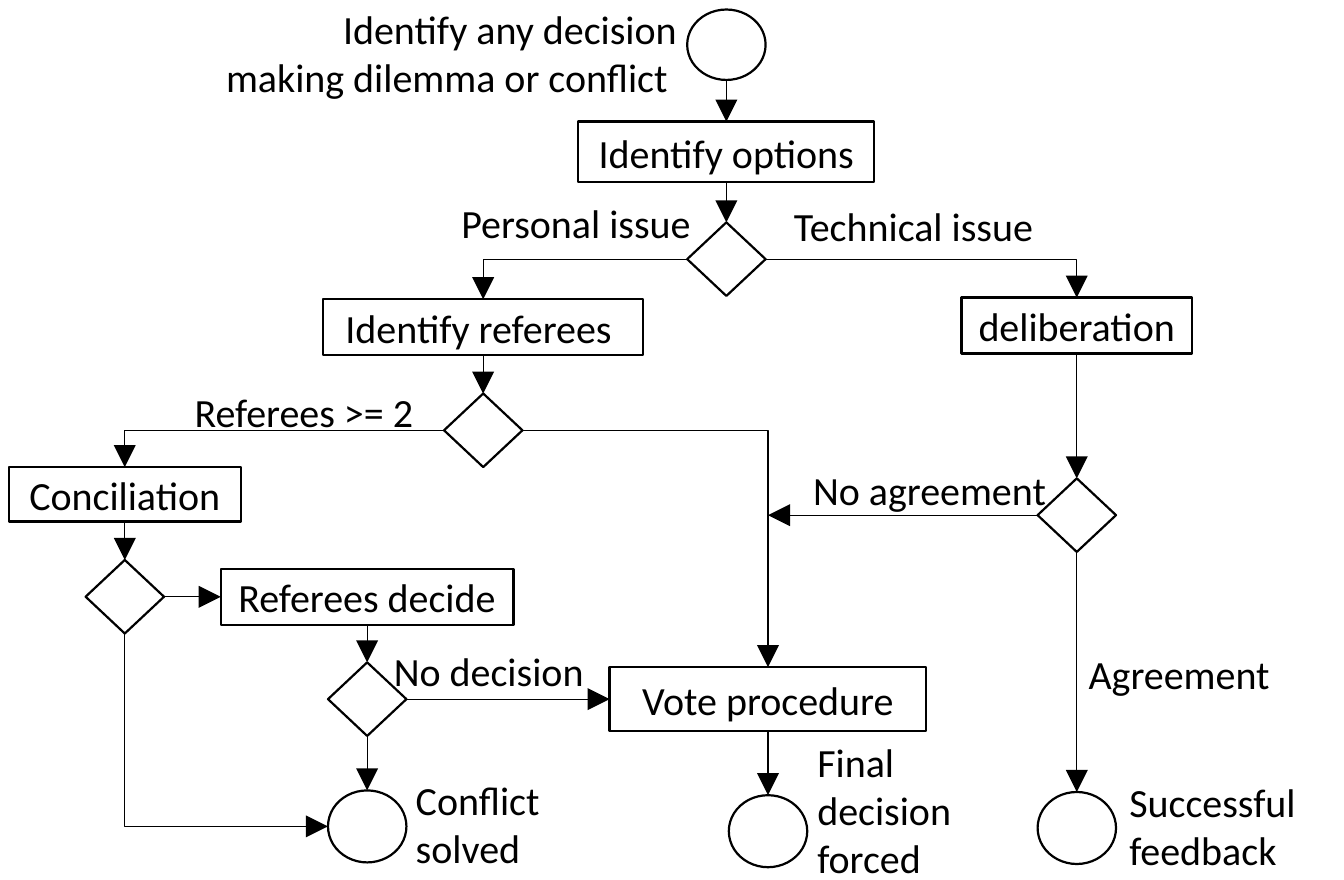
from lxml import etree
from pptx import Presentation
from pptx.dml.color import RGBColor
from pptx.enum.shapes import MSO_CONNECTOR, MSO_SHAPE
from pptx.enum.text import MSO_ANCHOR, MSO_AUTO_SIZE, PP_ALIGN
from pptx.oxml.ns import qn
from pptx.util import Inches, Pt

BLACK = RGBColor(0x00, 0x00, 0x00)
RECT, DIAMOND, OVAL = MSO_SHAPE.RECTANGLE, MSO_SHAPE.DIAMOND, MSO_SHAPE.OVAL
LINE, BEND = MSO_CONNECTOR.STRAIGHT, MSO_CONNECTOR.ELBOW
LEFT, CENTER, RIGHT = PP_ALIGN.LEFT, PP_ALIGN.CENTER, PP_ALIGN.RIGHT
MIDDLE, FIT = MSO_ANCHOR.MIDDLE, MSO_AUTO_SIZE.SHAPE_TO_FIT_TEXT
TOP, WEST, FOOT, EAST = range(4)
COLS, ROWS = 84, 55


class Chart:
    """Flow chart on a grid of COLS by ROWS cells."""

    font, size = "Calibri", Pt(18)
    edge, wire = Pt(1), Pt(0.5)

    def __init__(self, deck):
        self.slide = deck.slides.add_slide(deck.slide_layouts[6])
        self.shapes = self.slide.shapes
        self.col = deck.slide_width / COLS
        self.row = deck.slide_height / ROWS

    def place(self, x, y):
        return round(x * self.col), round(y * self.row)

    def letter(self, shape, text, align):
        """Put styled text into a shape."""
        para = shape.text_frame.paragraphs[0]
        para.text = text
        para.alignment = align
        para.font.name, para.font.size = self.font, self.size
        para.font.color.rgb = BLACK

    def node(self, kind, x, y, w=4.9, h=4.6):
        """Add an outlined shape centred on x, y."""
        shape = self.shapes.add_shape(
            kind, *self.place(x - w / 2, y - h / 2), *self.place(w, h))
        shape.shadow.inherit = False
        shape.fill.background()
        shape.line.color.rgb = BLACK
        shape.line.width = self.edge
        return shape

    def step(self, text, x, y, w, h=3.5):
        box = self.node(RECT, x, y, w, h)
        box.text_frame.vertical_anchor = MIDDLE
        box.text_frame.word_wrap = False
        self.letter(box, text, CENTER)
        return box

    def gate(self, x, y):
        return self.node(DIAMOND, x, y)

    def dot(self, x, y, h=4.5):
        return self.node(OVAL, x, y, h=h)

    def label(self, text, x, y, w, h=4, align=CENTER):
        box = self.shapes.add_textbox(*self.place(x, y), *self.place(w, h))
        box.text_frame.word_wrap = True
        box.text_frame.auto_size = FIT
        self.letter(box, text, align)

    def spot(self, shape, side):
        """Return the middle of one side of a shape."""
        dx, dy = ((1, 0), (0, 1), (1, 2), (2, 1))[side]
        return (shape.left + shape.width * dx // 2,
                shape.top + shape.height * dy // 2)

    def arrow(self, start, end, kind=LINE, tip="tailEnd"):
        wire = self.shapes.add_connector(kind, *start, *end)
        wire.line.color.rgb = BLACK
        wire.line.width = self.wire
        props = wire.element.spPr
        etree.SubElement(props.find(qn("a:ln")), qn("a:" + tip),
                         type="triangle", w="lg", len="lg")
        etree.SubElement(props, qn("a:effectLst"))
        if kind == BEND:
            props.find(qn("a:prstGeom")).set("prst", "bentConnector2")
        return wire

    def link(self, a, b, out=FOOT, into=TOP):
        """Join two shapes with a straight arrow."""
        wire = self.arrow(self.spot(a, out), self.spot(b, into))
        if a.auto_shape_type != OVAL:
            wire.begin_connect(a, out)
        wire.end_connect(b, into)

    def turn(self, a, b, out, into=TOP, tip="tailEnd"):
        """Join two shapes with one right-angled bend."""
        self.arrow(self.spot(a, out), self.spot(b, into), BEND, tip)


def main():
    deck = Presentation()
    deck.slide_width, deck.slide_height = Inches(8.4), Inches(5.5)
    chart = Chart(deck)
    far, near, mid, main_col, vote_col, tech = 7.8, 22.95, 30.2, 45.4, 48, 67.3

    start = chart.dot(main_col, 2.8, 4.4)
    options = chart.step("Identify options", main_col, 9.5, 18.5, 3.8)
    issue = chart.gate(main_col, 16.2)
    referees = chart.step("Identify referees ", mid, 20.45, 20)
    count = chart.gate(mid, 26.9)
    talks = chart.step("Conciliation", far, 30.9, 14.5, 3.4)
    peace = chart.gate(far, 37.3)
    decide = chart.step("Referees decide", near, 37.3, 18.3)
    ruling = chart.gate(near, 43.7)
    solved = chart.dot(near, 51.65)
    vote = chart.step("Vote procedure", vote_col, 43.7, 19.8, 4)
    forced = chart.dot(vote_col, 51.95)
    debate = chart.step("deliberation", tech, 20.35, 14.4)
    accord = chart.gate(tech, 32.2)
    success = chart.dot(tech, 51.75)

    for chain in ((start, options, issue), (referees, count),
                  (talks, peace), (decide, ruling, solved),
                  (vote, forced), (debate, accord, success)):
        for a, b in zip(chain, chain[1:]):
            chart.link(a, b)
    chart.link(peace, decide, EAST, WEST)
    chart.link(ruling, vote, EAST, WEST)

    chart.turn(issue, referees, WEST)
    chart.turn(issue, debate, EAST)
    chart.turn(count, talks, WEST)
    chart.turn(count, vote, EAST)
    chart.turn(solved, peace, WEST, FOOT, "headEnd")
    merge = chart.arrow(chart.spot(accord, WEST), chart.place(vote_col, 32.2))
    merge.begin_connect(accord, WEST)

    chart.label("Identify any decision making dilemma or conflict ",
                12.8, -0.2, 30.5, 7.1, RIGHT)
    for text, x, y, w in (("Personal issue", 27.4, 11.9, 17.2),
                          ("Technical issue", 47.9, 12.1, 18.4),
                          ("Referees >= 2", 7.2, 23.7, 23.6),
                          ("No agreement", 48.9, 28.6, 18.4),
                          ("No decision", 23.2, 39.9, 14.7),
                          ("Agreement", 64.5, 40.1, 18.4)):
        chart.label(text, x, y, w)
    for text, x, y, h in (("Conflict solved", 25, 48, 7.1),
                          ("Final decision forced", 50.1, 45.6, 10.1),
                          ("Successful feedback", 69.6, 48.1, 7.1)):
        chart.label(text, x, y, 12.8, h, LEFT)

    deck.save("out.pptx")


if __name__ == "__main__":
    main()
